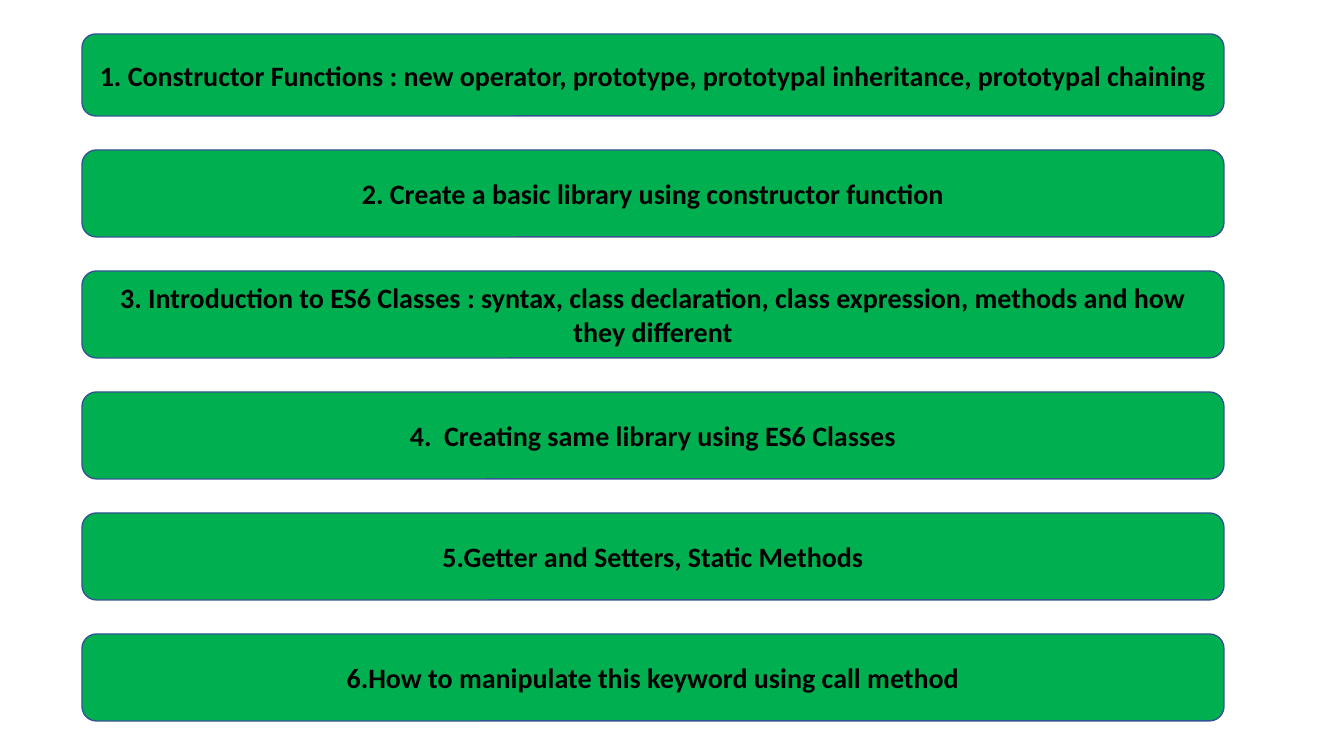
from pptx import Presentation
from pptx.dml.color import RGBColor
from pptx.enum.shapes import MSO_SHAPE
from pptx.enum.text import MSO_ANCHOR, PP_ALIGN
from pptx.util import Emu, Pt

ROUNDED = MSO_SHAPE.ROUNDED_RECTANGLE
MIDDLE = MSO_ANCHOR.MIDDLE
CENTER = PP_ALIGN.CENTER

GREEN = RGBColor(0x00, 0xB0, 0x50)
BLUE = RGBColor(0x32, 0x54, 0x91)
BLACK = RGBColor(0x00, 0x00, 0x00)

EMU_PER_PX = 914400 / 100.8
FIRST_HEIGHT, HEIGHT, GAP = 82, 87, 34

TOPICS = [
    "1. Constructor Functions : new operator, prototype, prototypal inheritance, prototypal chaining",
    "2. Create a basic library using constructor function",
    "3. Introduction to ES6 Classes : syntax, class declaration, class expression, "
    "methods and how they different",
    "4.  Creating same library using ES6 Classes",
    "5.Getter and Setters, Static Methods",
    "6.How to manipulate this keyword using call method",
]


def px(n):
    return Emu(round(n * EMU_PER_PX))


def add_topic(s, text, left, top, width, height):
    sp = s.shapes.add_shape(ROUNDED, px(left), px(top), px(width), px(height))
    sp.shadow.inherit = False
    sp.fill.solid()
    sp.fill.fore_color.rgb = GREEN
    sp.line.color.rgb = BLUE
    sp.line.width = Pt(1)

    # Centred bold label
    tf = sp.text_frame
    tf.word_wrap = True
    tf.vertical_anchor = MIDDLE
    tf.text = text
    p = tf.paragraphs[0]
    p.alignment = CENTER
    font = p.runs[0].font
    font.name = "Calibri"
    font.size = Pt(20)
    font.bold = True
    font.color.rgb = BLACK


def add_agenda(s, left, top, width):
    # The first bar is slightly lower than the rest; the gaps are equal
    for i, text in enumerate(TOPICS):
        height = HEIGHT if i else FIRST_HEIGHT
        add_topic(s, text, left, top, width, height)
        top += height + GAP


prs = Presentation()
prs.slide_width, prs.slide_height = px(1344), px(756)
s = prs.slides.add_slide(prs.slide_layouts[6])
add_agenda(s, left=82, top=34, width=1142)
prs.save("out.pptx")
